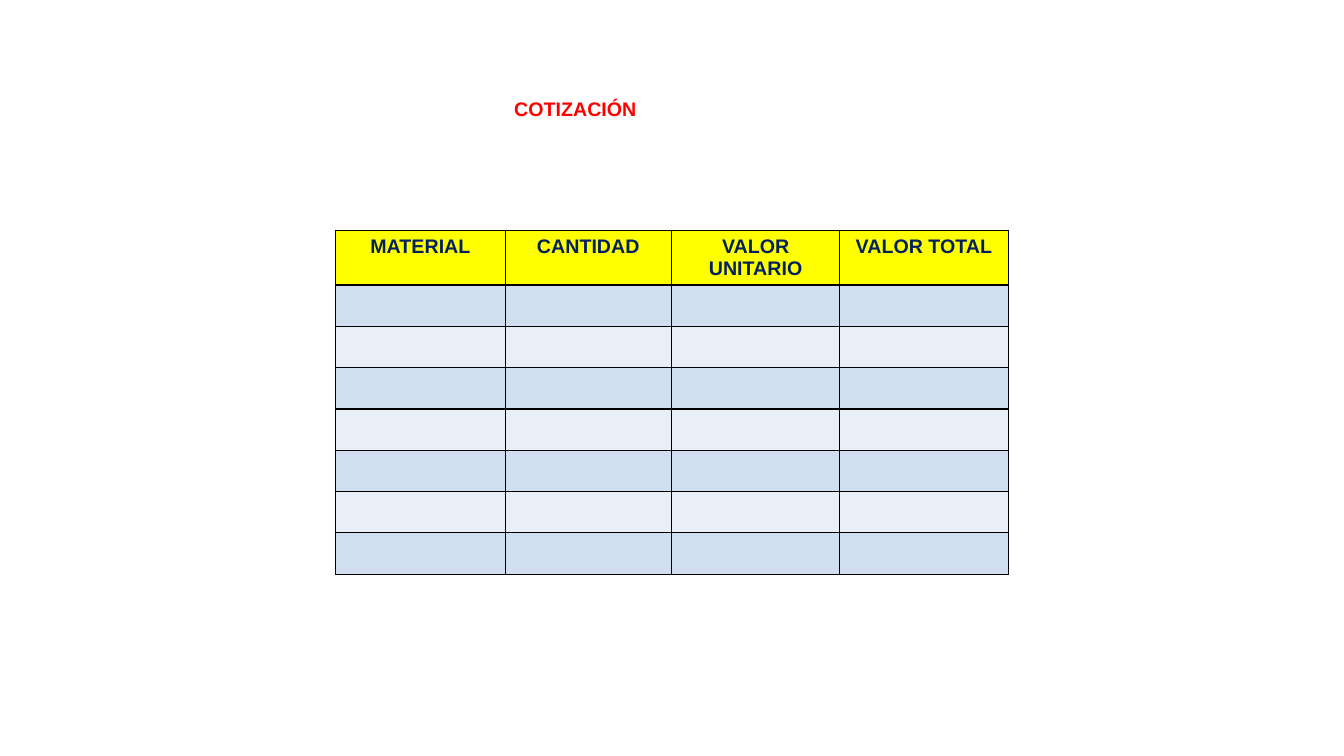
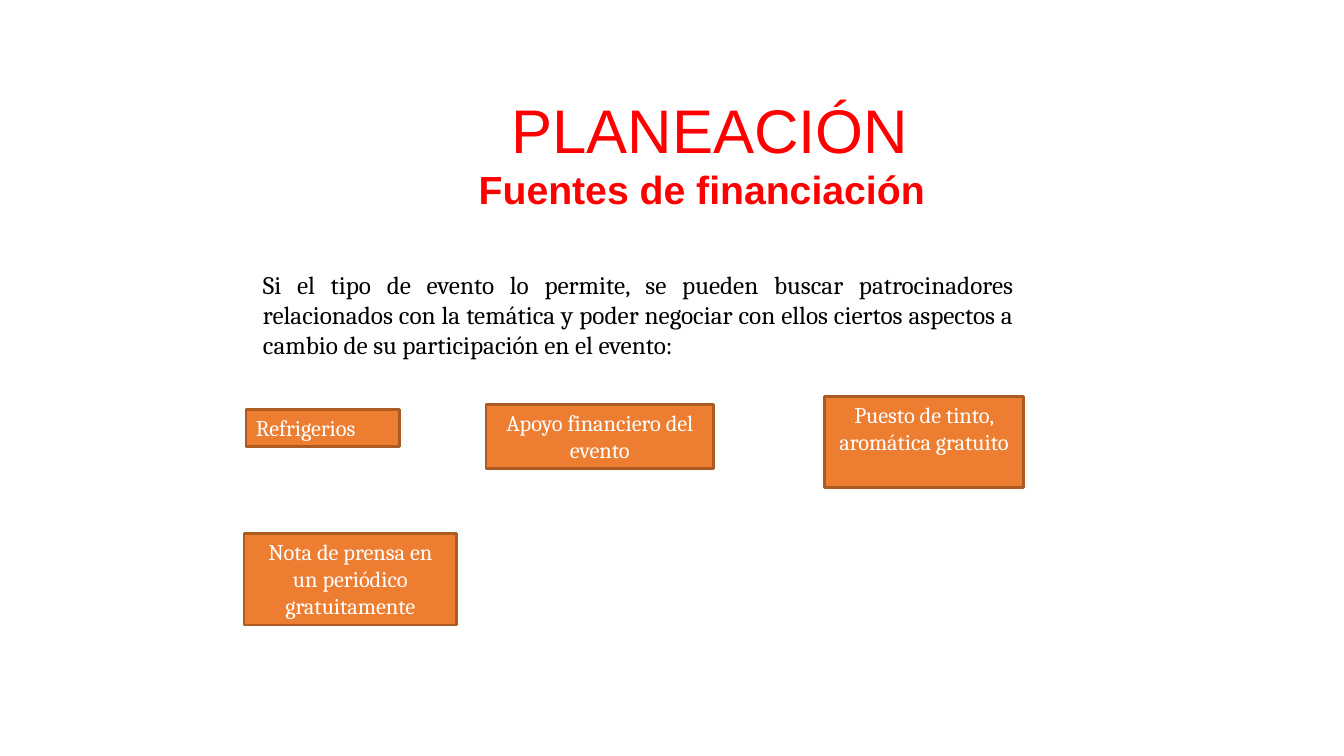
from lxml.etree import SubElement
from pptx import Presentation
from pptx.dml.color import RGBColor
from pptx.enum.shapes import MSO_SHAPE as Shape
from pptx.enum.text import MSO_ANCHOR as Anchor, MSO_AUTO_SIZE as AutoSize, PP_ALIGN as Align
from pptx.oxml.ns import qn
from pptx.util import Pt

PX = 9144  # 100 px to the inch
RED = RGBColor(0xFF, 0x00, 0x00)
NAVY = RGBColor(0x00, 0x20, 0x60)
YELLOW = RGBColor(0xFF, 0xFF, 0x00)
BANDS = (RGBColor(0xD0, 0xDE, 0xEF), RGBColor(0xE9, 0xEF, 0xF7))
ORANGE = RGBColor(0xED, 0x7D, 0x31)
BROWN = RGBColor(0xAC, 0x5B, 0x23)
BLACK = RGBColor(0x00, 0x00, 0x00)
WHITE = RGBColor(0xFF, 0xFF, 0xFF)
HEAD_FONT, BODY_FONT = "Arial", "Cambria"

# Each title line: text, size, bold
QUOTE_TITLE = [("COTIZACIÓN", 14, True)]
PLAN_TITLE = [(" PLANEACIÓN", 44, False), ("Fuentes de financiación", 28, True)]

QUOTE_HEADERS = ["MATERIAL", "CANTIDAD", "VALOR UNITARIO", "VALOR TOTAL"]
QUOTE_COLUMNS = [168, 165, 167, 167]
QUOTE_ROWS = 7
HEADER_HEIGHT, ROW_HEIGHT = 53, 41

INTRO = (
    "Si el tipo de evento lo permite, se pueden buscar patrocinadores relacionados "
    "con la temática y poder negociar con ellos ciertos aspectos a cambio de su "
    "participación en el evento:"
)
# Each sponsorship: text, place (left, top, width, height), alignment
SPONSORSHIPS = [
    ("Refrigerios", (244, 406, 152, 37), Align.LEFT),
    ("Apoyo financiero del evento", (482, 401, 226, 64), Align.CENTER),
    ("Puesto de tinto, aromática gratuito", (818, 393, 197, 91), Align.CENTER),
    ("Nota de prensa en un periódico gratuitamente", (242, 529, 211, 91), Align.CENTER),
]


def emu(*lengths):
    return [length * PX for length in lengths]


def write(para, text, size, color, font, align, bold=False):
    para.alignment = align
    span = para.add_run()
    span.text = text
    span.font.size = Pt(size)
    span.font.name = font
    span.font.bold = bold
    span.font.color.rgb = color


def prepare_frame(frame):
    frame.word_wrap = True
    frame.auto_size = AutoSize.NONE
    frame.vertical_anchor = Anchor.TOP


def add_page(deck, title_lines, place, align):
    page = deck.slides.add_slide(deck.slide_layouts[5])
    title = page.shapes.title
    title.left, title.top, title.width, title.height = emu(*place)
    frame = title.text_frame
    prepare_frame(frame)
    for number, (text, size, bold) in enumerate(title_lines):
        para = frame.add_paragraph() if number else frame.paragraphs[0]
        write(para, text, size, RED, HEAD_FONT, align, bold)
    return page


def outline_cell(cell):
    properties = cell._tc.get_or_add_tcPr()
    for number, side in enumerate(("a:lnL", "a:lnR", "a:lnT", "a:lnB")):
        line = SubElement(properties, qn(side), w=str(Pt(1)))
        fill = SubElement(line, qn("a:solidFill"))
        SubElement(fill, qn("a:srgbClr"), val=str(BLACK))
        properties.remove(line)
        properties.insert(number, line)


def add_quote_table(page, left, top):
    heights = [HEADER_HEIGHT] + [ROW_HEIGHT] * QUOTE_ROWS
    place = emu(left, top, sum(QUOTE_COLUMNS), sum(heights))
    table = page.shapes.add_table(len(heights), len(QUOTE_COLUMNS), *place).table
    for column, width in zip(table.columns, QUOTE_COLUMNS):
        column.width = width * PX
    for number, (row, height) in enumerate(zip(table.rows, heights)):
        row.height = height * PX
        for cell in row.cells:
            cell.fill.solid()
            cell.fill.fore_color.rgb = BANDS[(number - 1) % 2] if number else YELLOW
            outline_cell(cell)
    for cell, text in zip(table.rows[0].cells, QUOTE_HEADERS):
        write(cell.text_frame.paragraphs[0], text, 14, NAVY, HEAD_FONT, Align.CENTER, True)


def add_sponsorship(page, text, place, align):
    box = page.shapes.add_shape(Shape.RECTANGLE, *emu(*place))
    box.shadow.inherit = False
    box.fill.solid()
    box.fill.fore_color.rgb = ORANGE
    box.line.color.rgb = BROWN
    box.line.width = Pt(2)
    prepare_frame(box.text_frame)
    write(box.text_frame.paragraphs[0], text, 16, WHITE, BODY_FONT, align)


def main():
    deck = Presentation()
    deck.slide_width, deck.slide_height = emu(1333, 750)

    quote = add_page(deck, QUOTE_TITLE, (500, 91, 528, 34), Align.LEFT)
    add_quote_table(quote, 333, 229)

    plan = add_page(deck, PLAN_TITLE, (206, 86, 980, 126), Align.CENTER)
    intro = plan.shapes.add_textbox(*emu(251, 262, 764, 110)).text_frame
    prepare_frame(intro)
    write(intro.paragraphs[0], INTRO, 18, BLACK, BODY_FONT, Align.JUSTIFY)
    for sponsorship in SPONSORSHIPS:
        add_sponsorship(plan, *sponsorship)

    deck.save("out.pptx")


if __name__ == "__main__":
    main()
